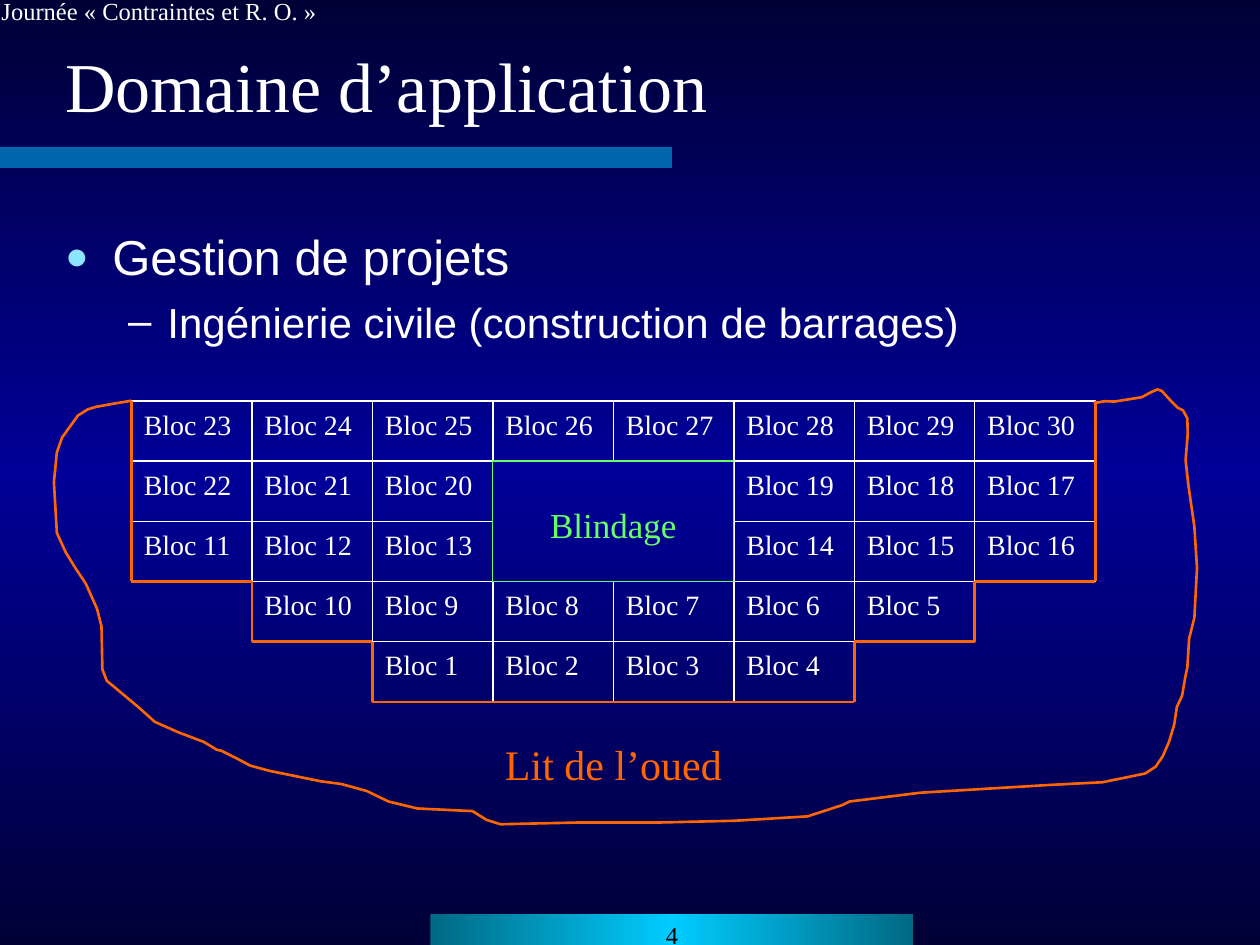
import copy
from dataclasses import dataclass
from itertools import pairwise

import pptx
import pptx.dml.color
import pptx.enum.shapes
import pptx.enum.text
import pptx.oxml
import pptx.oxml.ns
import pptx.util
from lxml import etree

Pt = pptx.util.Pt
qn = pptx.oxml.ns.qn
RECTANGLE = pptx.enum.shapes.MSO_SHAPE.RECTANGLE
STRAIGHT = pptx.enum.shapes.MSO_CONNECTOR.STRAIGHT
ANCHOR = pptx.enum.text.MSO_ANCHOR
ALIGN = pptx.enum.text.PP_ALIGN
NO_AUTOFIT = pptx.enum.text.MSO_AUTO_SIZE.NONE


@dataclass(frozen=True)
class Theme:
    serif: str = "Times New Roman"
    sans: str = "Arial"
    white: str = "FFFFFF"
    black: str = "000000"
    night: str = "000037"
    blue: str = "000099"
    cyan: str = "00CCFF"
    teal: str = "006984"
    bullet: str = "8DE4FF"
    green: str = "66FF66"
    orange: str = "FF6600"
    title_size: int = 40
    topic_size: int = 28
    detail_size: int = 24
    shield_size: int = 20
    block_size: int = 16
    small_size: int = 14
    grid_line: float = 0.75
    bank_line: float = 1.5


THEME = Theme()

# Block grid: a number for each block, 0 where there is none
GRID_LEFT, GRID_TOP, BLOCK_WIDTH, BLOCK_HEIGHT = 75.1, 229.1, 68.85, 34.4
BLOCK_ROWS = [
    [23, 24, 25, 26, 27, 28, 29, 30],
    [22, 21, 20, 0, 0, 19, 18, 17],
    [11, 12, 13, 0, 0, 14, 15, 16],
    [0, 10, 9, 8, 7, 6, 5, 0],
    [0, 0, 1, 2, 3, 4, 0, 0],
]
# Corners of the dam's foundation, as column and row of the grid
FOUNDATION = [(0, 0), (0, 3), (1, 3), (1, 4), (2, 4), (2, 5),
              (6, 5), (6, 4), (7, 4), (7, 3), (8, 3), (8, 0)]
RIVER_BED = [
    (75, 229), (66, 230.5), (55, 232.5), (50, 234), (44.5, 237.5), (35.5, 250),
    (32.5, 258.5), (30.8, 275.5), (32.5, 304.5), (37.5, 315.5), (43, 324.5),
    (49, 333.5), (55.5, 348), (58, 358), (58.5, 382.5), (61, 389), (79, 404),
    (88.5, 412.5), (102, 418.5), (116.5, 424), (124, 428.5), (126.5, 429),
    (135.5, 433.5), (143, 437.5), (154, 440.5), (183.5, 446.5), (195, 448),
    (209.5, 452), (222, 458), (238.5, 462), (270, 463.5), (278, 468.5),
    (286, 471), (331.5, 470), (377.5, 470), (420, 469), (461.5, 466.5),
    (481.5, 460), (485.5, 458), (526, 453), (567.5, 450.5), (600.5, 448.5),
    (630, 447), (654.5, 442), (660.5, 438), (664.5, 432), (668, 424),
    (671, 414), (672.5, 404), (675.5, 397.5), (677.5, 386), (678.5, 381.5),
    (679.5, 365), (682.5, 353), (684, 324.5), (682.5, 301), (679, 276.5),
    (677.5, 263), (678.7, 248), (678.5, 239), (676, 234.5), (673, 233),
    (668.5, 228.5), (664, 223.5), (661.5, 222.5), (658, 224), (652.5, 227),
    (637, 229.5), (631, 229.3), (625, 230.5),
]


def set_values(target, **values):
    for name, value in values.items():
        setattr(target, name, value)


def rgb(color):
    return pptx.dml.color.RGBColor.from_string(color)


def write(paragraph, text, size, color, font=THEME.serif, align=ALIGN.LEFT):
    paragraph.alignment = align
    run = paragraph.add_run()
    run.text = text
    set_values(run.font, name=font, size=Pt(size))
    run.font.color.rgb = rgb(color)


def place(shape, left, top, width, height):
    set_values(shape, left=Pt(left), top=Pt(top), width=Pt(width), height=Pt(height))


def set_line(line, color, width):
    line.color.rgb = rgb(color)
    line.width = Pt(width)


def fill_gradient(fill, element, edge, middle, angle):
    """Three stops, with the same colour at both ends."""
    fill.gradient()
    fill.gradient_angle = angle
    first, second = fill.gradient_stops
    first.color.rgb, second.color.rgb = rgb(edge), rgb(middle)
    first.position, second.position = 0, 0.5
    stops = element.find(".//" + qn("a:gsLst"))
    last = copy.deepcopy(stops[0])
    last.set("pos", "100000")
    stops.append(last)


def add_box(slide, left, top, width, height, line_color=None):
    box = slide.shapes.add_shape(RECTANGLE, Pt(left), Pt(top), Pt(width), Pt(height))
    box.shadow.inherit = False
    box.fill.background()
    if line_color:
        set_line(box.line, line_color, THEME.grid_line)
    else:
        box.line.fill.background()
    box.text_frame.vertical_anchor = ANCHOR.TOP
    return box


def add_label(slide, left, top, width, height, text, size, color):
    label = slide.shapes.add_textbox(Pt(left), Pt(top), Pt(width), Pt(height))
    label.text_frame.word_wrap = False
    write(label.text_frame.paragraphs[0], text, size, color)


def grid_point(column, row):
    return GRID_LEFT + column * BLOCK_WIDTH, GRID_TOP + row * BLOCK_HEIGHT


def add_bullet(paragraph, char, color, percent, margin, indent):
    properties = paragraph._p.get_or_add_pPr()
    properties.set("marL", str(Pt(margin)))
    properties.set("indent", str(Pt(indent)))
    bullet_color = etree.SubElement(properties, qn("a:buClr"))
    etree.SubElement(bullet_color, qn("a:srgbClr"), val=color)
    etree.SubElement(properties, qn("a:buSzPct"), val=str(percent * 1000))
    etree.SubElement(properties, qn("a:buFont"), typeface=THEME.sans)
    etree.SubElement(properties, qn("a:buChar"), char=char)


def add_frame(slide):
    fill_gradient(slide.background.fill, slide.element, THEME.night, THEME.blue, 90)
    bar = add_box(slide, 0, 84, 384, 12)
    bar.fill.solid()
    bar.fill.fore_color.rgb = rgb(THEME.cyan)
    color = bar.element.spPr.find(".//" + qn("a:srgbClr"))
    etree.SubElement(color, qn("a:alpha"), val="50000")

    footer = add_box(slide, 246, 522, 276, 18)
    fill_gradient(footer.fill, footer.element.spPr, THEME.teal, THEME.cyan, 0)
    write(footer.text_frame.paragraphs[0], "4", THEME.small_size, THEME.black,
          align=ALIGN.CENTER)
    add_label(slide, -6.2, -5.8, 194.4, 24, "Journée « Contraintes et R. O. »",
              THEME.small_size, THEME.white)


def add_title(slide, text):
    title = slide.shapes.title
    place(title, 30, 18, 666, 60)
    set_values(title.text_frame, auto_size=NO_AUTOFIT, vertical_anchor=ANCHOR.MIDDLE)
    write(title.text_frame.paragraphs[0], text, THEME.title_size, THEME.white)


def add_topics(slide):
    body = slide.placeholders[1]
    place(body, 30, 126, 558, 96)
    frame = body.text_frame
    set_values(frame, auto_size=NO_AUTOFIT, vertical_anchor=ANCHOR.TOP)
    topic, detail = frame.paragraphs[0], frame.add_paragraph()
    add_bullet(topic, "●", THEME.bullet, 80, 27, -27)
    add_bullet(detail, "–", THEME.white, 100, 58.5, -22.5)
    set_values(topic, space_before=Pt(0))
    set_values(detail, level=1, space_before=Pt(6))
    write(topic, "Gestion de projets", THEME.topic_size, THEME.white, THEME.sans)
    write(detail, "Ingénierie civile (construction de barrages)",
          THEME.detail_size, THEME.white, THEME.sans)


def add_dam(slide):
    # Numbered blocks
    for row, numbers in enumerate(BLOCK_ROWS):
        for column, number in enumerate(numbers):
            if number:
                block = add_box(slide, *grid_point(column, row), BLOCK_WIDTH,
                                BLOCK_HEIGHT, THEME.white)
                write(block.text_frame.paragraphs[0], f"Bloc {number}",
                      THEME.block_size, THEME.white)
    # Shielding in the middle
    shield = add_box(slide, *grid_point(3, 1), 2 * BLOCK_WIDTH, 2 * BLOCK_HEIGHT,
                     THEME.green)
    set_values(shield.text_frame, vertical_anchor=ANCHOR.MIDDLE,
               margin_top=Pt(7.2), margin_bottom=Pt(3.6))
    write(shield.text_frame.paragraphs[0], "Blindage", THEME.shield_size,
          THEME.green, align=ALIGN.CENTER)
    # Stepped foundation
    for start, end in pairwise(FOUNDATION):
        ends = [Pt(value) for value in grid_point(*start) + grid_point(*end)]
        edge = slide.shapes.add_connector(STRAIGHT, *ends)
        set_line(edge.line, THEME.orange, THEME.bank_line)
        etree.SubElement(edge.element.spPr, qn("a:effectLst"))


def add_river_bed(slide):
    add_label(slide, 281.5, 418.3, 155, 34.5, "Lit de l’oued",
              THEME.detail_size, THEME.orange)
    start, *points = [(Pt(x), Pt(y)) for x, y in RIVER_BED]
    builder = slide.shapes.build_freeform(*start)
    builder.add_line_segments(points, close=False)
    bank = builder.convert_to_shape()
    bank.shadow.inherit = False
    bank.fill.background()
    set_line(bank.line, THEME.orange, THEME.bank_line)


def main():
    presentation = pptx.Presentation()
    set_values(presentation, slide_width=Pt(720), slide_height=Pt(540))
    slide = presentation.slides.add_slide(presentation.slide_layouts[1])
    add_frame(slide)
    add_title(slide, "Domaine d’application")
    add_topics(slide)
    add_dam(slide)
    add_river_bed(slide)
    presentation.save("out.pptx")


if __name__ == "__main__":
    main()
